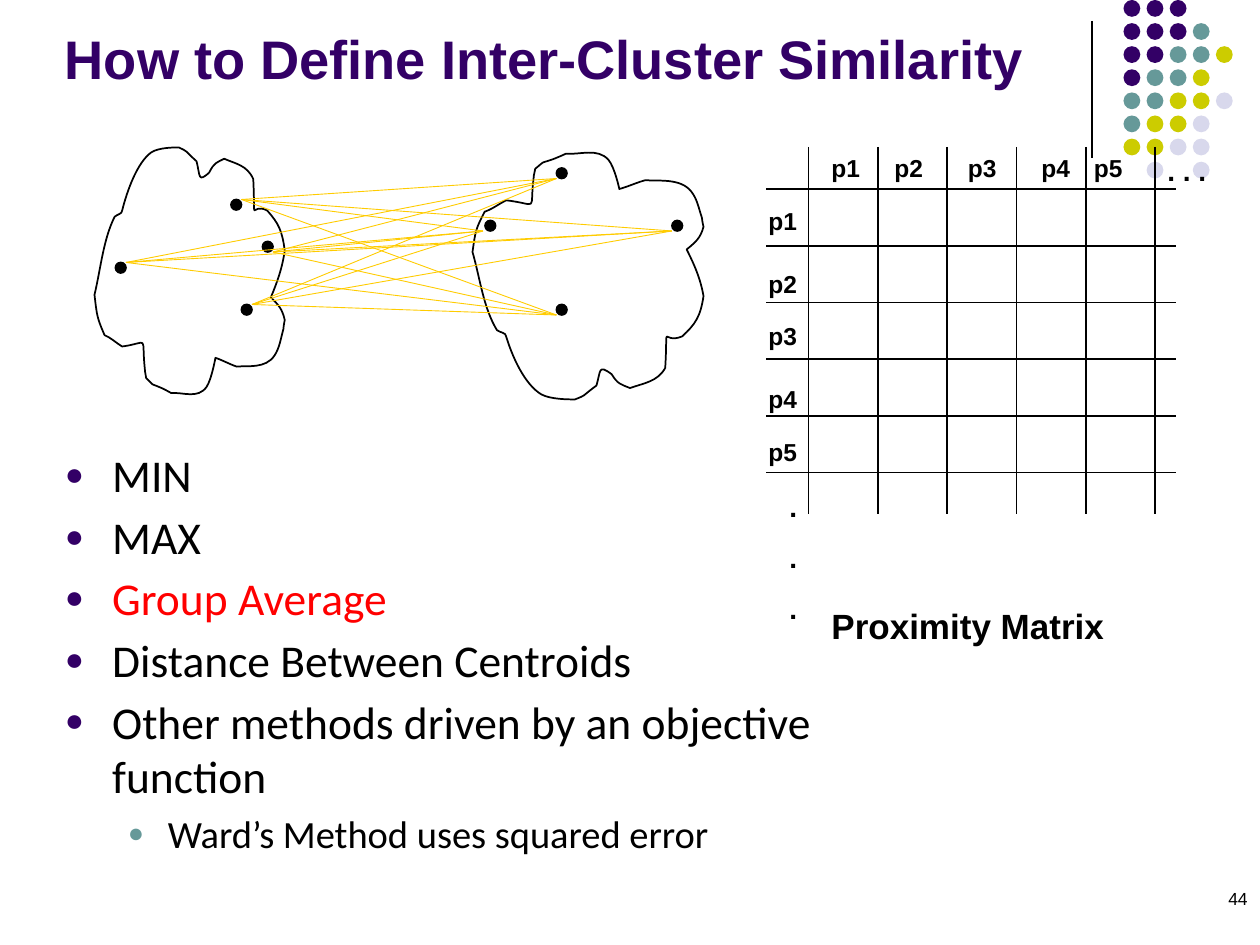
from dataclasses import dataclass
from itertools import product
from typing import Callable

from lxml.etree import SubElement
from pptx import Presentation
from pptx.dml.color import RGBColor
from pptx.enum.shapes import MSO_CONNECTOR as Conn, MSO_SHAPE as Kind
from pptx.enum.text import MSO_ANCHOR as Anchor, PP_ALIGN as Align
from pptx.oxml.ns import qn
from pptx.util import Pt

PX = 7620  # 120 px to the inch
BLACK = RGBColor(0x00, 0x00, 0x00)
PLUM = RGBColor(0x33, 0x00, 0x66)
TEAL = RGBColor(0x66, 0x99, 0x99)
LIME = RGBColor(0xCC, 0xCC, 0x00)
PALE = RGBColor(0xD8, 0xD8, 0xEC)
GOLD = RGBColor(0xFF, 0xCC, 0x00)
RED = RGBColor(0xFF, 0x00, 0x00)

Point = tuple[float, float]


@dataclass
class Label:
    lines: list[str]
    x: int
    y: int
    w: int
    h: int
    size: int
    bold: bool = True
    color: RGBColor = BLACK
    align: Align = Align.LEFT
    anchor: Anchor = Anchor.TOP
    gap: int = 0


@dataclass
class Item:
    text: str
    color: RGBColor = BLACK
    level: int = 0


@dataclass
class Level:
    size: int
    left: int
    hang: int
    mark: RGBColor


# Corner dots: one letter per dot
INKS = {"P": PLUM, "T": TEAL, "L": LIME, "V": PALE}
DOTS = ["PPP", "PPPT", "PPTTL", "PTTL", "TTLLV", "TLLV", "LLVV", " V V"]

# Cluster outline, in units of its own: start, then two handles and an end for each curve
START = (91, 172)
CURVES = [
    (82, 190, 80, 213, 75, 234), (77, 251, 77, 252, 83, 266),
    (88, 268, 92, 272, 97, 275), (119, 272, 112, 265, 115, 293),
    (115, 296, 116, 298, 116, 300), (123, 307, 119, 304, 126, 307),
    (129, 308, 136, 312, 136, 312), (145, 311, 157, 317, 164, 307),
    (168, 301, 171, 284, 171, 284), (177, 286, 182, 289, 188, 291),
    (196, 290, 211, 293, 218, 282), (222, 276, 223, 268, 225, 261),
    (225, 259, 226, 254, 226, 254), (224, 245, 221, 242, 215, 236),
    (220, 224, 224, 213, 226, 199), (224, 183, 221, 177, 212, 167),
    (198, 160, 203, 182, 201, 142), (196, 131, 187, 130, 178, 126),
    (172, 129, 170, 129, 166, 137), (157, 145, 159, 140, 156, 128),
    (145, 118, 150, 121, 142, 117), (138, 117, 126, 117, 120, 121),
    (109, 129, 101, 151, 97, 167), (97, 170, 93, 170, 91, 172),
]
MEMBERS = [(230, 290), (220, 190), (110, 250), (250, 230),
           (640, 210), (462, 210), (530, 290), (530, 160)]
LEFT_ENDS = [(240, 290), (260, 240), (120, 250), (230, 190)]
RIGHT_ENDS = [(530, 300), (460, 220), (530, 170), (640, 220)]

# Matrix labels: top of each row name, left of each column name
ROWS = (190, 250, 300, 360, 410)
COLS = (780, 840, 910, 980, 1030)

LEVELS = [Level(26, 45, 45, PLUM), Level(22, 98, 38, TEAL)]
ITEMS = [
    Item("MIN"),
    Item("MAX"),
    Item("Group Average", RED),
    Item("Distance Between Centroids"),
    Item("Other methods driven by an objective function"),
    Item("Ward’s Method uses squared error", level=1),
]


def draw_line(shapes, a: Point, b: Point, color: RGBColor, width: float) -> None:
    line = shapes.add_connector(Conn.STRAIGHT, *(v * PX for v in (*a, *b)))
    line.line.color.rgb = color
    line.line.width = Pt(width)
    SubElement(line._element.spPr, qn("a:effectLst"))


def draw_dot(shapes, x: int, y: int, size: int, color: RGBColor, edge: bool) -> None:
    dot = shapes.add_shape(Kind.OVAL, x * PX, y * PX, size * PX, size * PX)
    dot.shadow.inherit = False
    dot.fill.solid()
    dot.fill.fore_color.rgb = color
    if edge:
        dot.line.color.rgb = color
        dot.line.width = Pt(1)
    else:
        dot.line.fill.background()


def add_run(para, text: str, font: str, size: int, color: RGBColor, bold: bool) -> None:
    run = para.add_run()
    run.text = text
    run.font.name = font
    run.font.size = Pt(size)
    run.font.bold = bold
    run.font.color.rgb = color


def add_box(shapes, x: int, y: int, w: int, h: int):
    frame = shapes.add_textbox(x * PX, y * PX, w * PX, h * PX).text_frame
    frame.word_wrap = True
    return frame


def draw_label(shapes, label: Label) -> None:
    frame = add_box(shapes, label.x, label.y, label.w, label.h)
    frame.vertical_anchor = label.anchor
    for i, text in enumerate(label.lines):
        para = frame.add_paragraph() if i else frame.paragraphs[0]
        para.alignment = label.align
        if i:
            para.space_before = Pt(label.gap)
        add_run(para, text, "Arial", label.size, label.color, label.bold)


def draw_cloud(shapes, place: Callable[[float, float], Point]) -> None:
    def spot(x: int, y: int) -> tuple[int, ...]:
        return tuple(round(v * PX) for v in place(x, y))

    pen = shapes.build_freeform(*spot(*START))
    pen.add_line_segments([spot(*curve[4:]) for curve in CURVES], close=True)
    cloud = pen.convert_to_shape()
    cloud.shadow.inherit = False
    cloud.fill.background()
    cloud.line.color.rgb = BLACK
    cloud.line.width = Pt(1)
    # Bend each straight side into its curve
    for side, curve in zip(list(cloud._element.iter(qn("a:lnTo"))), CURVES):
        side.tag = qn("a:cubicBezTo")
        side.remove(side[0])
        for k in (0, 2, 4):
            x, y = spot(*curve[k:k + 2])
            SubElement(side, qn("a:pt"), x=str(x - cloud.left), y=str(y - cloud.top))


def draw_list(shapes, items: list[Item]) -> None:
    frame = add_box(shapes, 50, 420, 760, 410)
    for i, item in enumerate(items):
        style = LEVELS[item.level]
        para = frame.add_paragraph() if i else frame.paragraphs[0]
        para.level = item.level
        para.space_after = Pt(2)
        if i:
            para.space_before = Pt(2)
        props = para._p.get_or_add_pPr()
        props.set("marL", str(style.left * PX))
        props.set("indent", str(-style.hang * PX))
        tint = SubElement(props, qn("a:buClr"))
        SubElement(tint, qn("a:srgbClr"), val=str(style.mark))
        SubElement(props, qn("a:buSzPct"), val="70000")
        SubElement(props, qn("a:buFont"), typeface="Arial")
        SubElement(props, qn("a:buChar"), char="●")
        add_run(para, item.text, "Calibri", style.size, item.color, False)


def main() -> None:
    deck = Presentation()
    deck.slide_width, deck.slide_height = 1200 * PX, 900 * PX
    shapes = deck.slides.add_slide(deck.slide_layouts[6]).shapes

    # Corner decoration
    draw_line(shapes, (1040, 20), (1040, 150), BLACK, 0.75)
    for r, row in enumerate(DOTS):
        for c, ink in enumerate(row):
            if ink in INKS:
                draw_dot(shapes, 1070 + 22 * c, 22 * r, 16, INKS[ink], False)

    # Page number and title
    draw_label(shapes, Label(["44"], 920, 840, 280, 30, 10, False, align=Align.RIGHT))
    draw_label(shapes, Label(["How to Define Inter-Cluster Similarity"], 50, 20, 1087, 72, 31,
                             color=PLUM, anchor=Anchor.BOTTOM))

    # Proximity matrix
    for i in range(6):
        x, y = 770 + 66 * i, 180 + 54 * i
        draw_line(shapes, (x, 140), (x, 490), BLACK, 1)
        draw_line(shapes, (730, y), (1120, y), BLACK, 1)
    for i, (x, y) in enumerate(zip(COLS, ROWS), 1):
        draw_label(shapes, Label([f"p{i}"], 720, y, 70, 41, 14))
        draw_label(shapes, Label([f"p{i}"], x, 140, 70, 41, 14))
    draw_label(shapes, Label([". . ."], 1100, 140, 70, 44, 16))
    draw_label(shapes, Label(["."] * 3, 740, 460, 70, 142, 16, gap=10))
    draw_label(shapes, Label(["Proximity Matrix"], 780, 570, 330, 53, 20))

    # Clusters: the right one is flipped and widened
    draw_cloud(shapes, lambda x, y: (1.2 * x, 1.2 * y))
    draw_cloud(shapes, lambda x, y: (450 + 220 * (x - 75) / 151, 1.2 * (434 - y)))
    for x, y in MEMBERS:
        draw_dot(shapes, x, y, 10, BLACK, True)
    for a, b in product(LEFT_ENDS, RIGHT_ENDS):
        draw_line(shapes, a, b, GOLD, 0.5)

    # Methods
    draw_list(shapes, ITEMS)
    deck.save("out.pptx")


if __name__ == "__main__":
    main()
